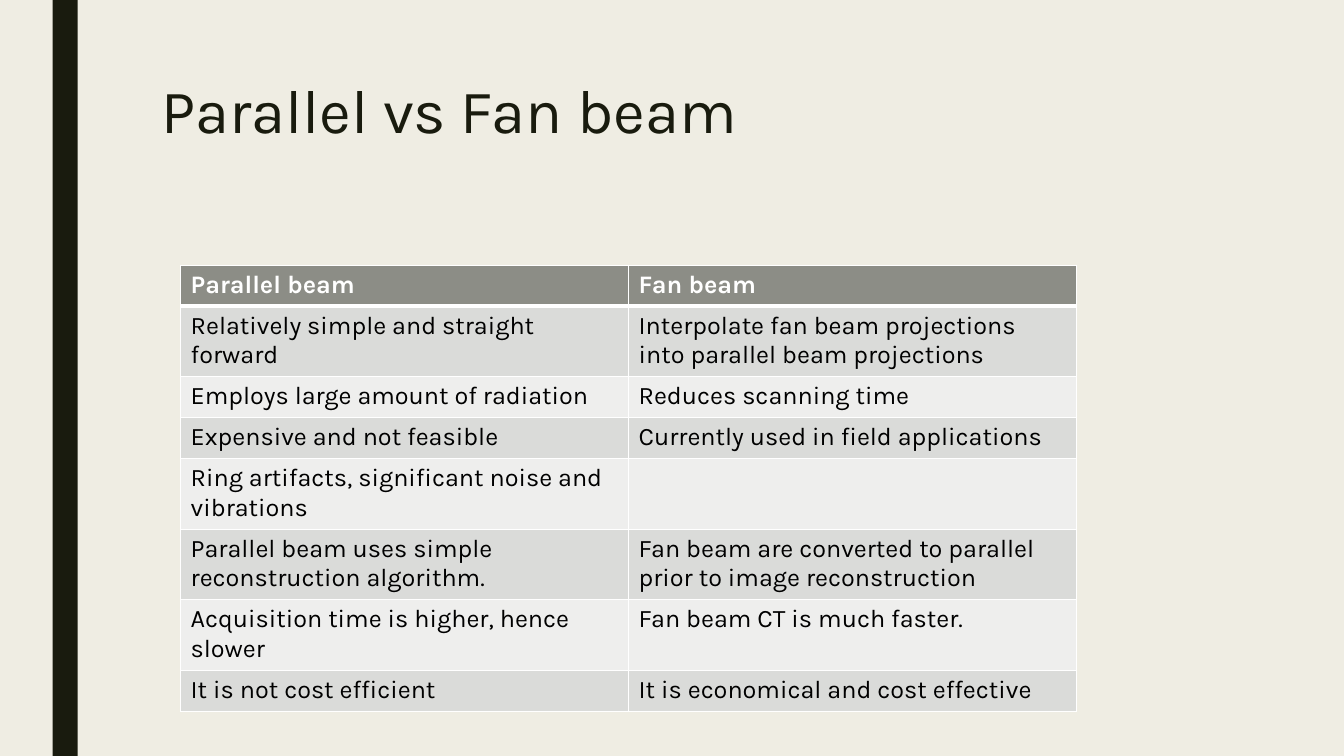
from dataclasses import dataclass

from lxml.etree import SubElement
from pptx import Presentation
from pptx.dml.color import RGBColor
from pptx.enum.shapes import MSO_SHAPE
from pptx.oxml.ns import qn
from pptx.util import Pt


@dataclass(frozen=True)
class Theme:
    """Colours, font and type sizes of the deck."""
    background: str = "EFEDE3"
    ink: str = "191B0E"
    header_fill: str = "8C8D86"
    bands: tuple = ("DADBD9", "EEEEED")
    border: str = "FFFFFF"
    header_text: str = "FFFFFF"
    body_text: str = "000000"
    font: str = "Karla"
    title_size: float = 44
    body_size: float = 18


THEME = Theme()
SLIDE_WIDTH, SLIDE_HEIGHT = 960, 540
BEAM_COMPARISON = [
    ("Parallel beam", "Fan beam"),
    ("Relatively simple and straight forward",
     "Interpolate fan beam projections into parallel beam projections"),
    ("Employs large amount of radiation", "Reduces scanning time"),
    ("Expensive and not feasible", "Currently used in field applications"),
    ("Ring artifacts, significant noise and vibrations", ""),
    ("Parallel beam uses simple reconstruction algorithm.",
     "Fan beam are converted to parallel prior to image reconstruction"),
    ("Acquisition time is higher, hence slower", "Fan beam CT is much faster."),
    ("It is not cost efficient", "It is economical and cost effective"),
]


def style_paragraph(paragraph, size, color, bold=False):
    """Set the font of a whole paragraph."""
    paragraph.font.name = THEME.font
    paragraph.font.size = Pt(size)
    paragraph.font.bold = bold
    paragraph.font.color.rgb = RGBColor.from_string(color)


def add_side_bar(slide, left, top, width, height):
    """Draw the dark vertical bar in the given box."""
    bar = slide.shapes.add_shape(
        MSO_SHAPE.RECTANGLE, Pt(left), Pt(top), Pt(width), Pt(height))
    bar.shadow.inherit = False
    bar.fill.solid()
    bar.fill.fore_color.rgb = RGBColor.from_string(THEME.ink)
    bar.line.fill.background()


def add_title(slide, title, left, top, width, height):
    """Write the slide title at the top of the given box."""
    frame = slide.shapes.add_textbox(
        Pt(left), Pt(top), Pt(width), Pt(height)).text_frame
    frame.word_wrap = True
    heading = frame.paragraphs[0]
    heading.text = title
    heading.line_spacing = 0.89
    style_paragraph(heading, THEME.title_size, THEME.ink)


def add_borders(cell, **widths):
    """Draw the cell's borders, one width in points per side."""
    properties = cell._tc.get_or_add_tcPr()
    for side, width in widths.items():
        line = SubElement(properties, qn(f"a:ln{side}"), w=str(Pt(width)))
        fill = SubElement(line, qn("a:solidFill"))
        SubElement(fill, qn("a:srgbClr"), val=THEME.border)


def add_comparison(slide, rows, left, top, width, height):
    """Fill the given box with a banded table under a header row."""
    table = slide.shapes.add_table(
        len(rows), len(rows[0]), Pt(left), Pt(top), Pt(width), Pt(height)).table
    for row_index, row in enumerate(rows):
        is_header = row_index == 0
        fill = THEME.header_fill if is_header else THEME.bands[(row_index - 1) % 2]
        color = THEME.header_text if is_header else THEME.body_text
        for column_index, wording in enumerate(row):
            cell = table.cell(row_index, column_index)
            cell.text = wording
            style_paragraph(cell.text_frame.paragraphs[0],
                            THEME.body_size, color, is_header)
            add_borders(cell, L=1, R=1, T=3 if row_index == 1 else 1,
                        B=3 if is_header else 1)
            cell.fill.solid()
            cell.fill.fore_color.rgb = RGBColor.from_string(fill)


def build_comparison_slide(deck):
    """Add the slide that compares the two beam types."""
    slide = deck.slides.add_slide(deck.slide_layouts[6])
    slide.background.fill.solid()
    slide.background.fill.fore_color.rgb = RGBColor.from_string(THEME.background)
    add_side_bar(slide, 37.5, 0, 18, SLIDE_HEIGHT)
    add_title(slide, "Parallel vs Fan beam", 108, 54, 756, 117)
    add_comparison(slide, BEAM_COMPARISON, 129, 189.5, 640, 233.6)


def main():
    """Build the deck and save it."""
    deck = Presentation()
    deck.slide_width, deck.slide_height = Pt(SLIDE_WIDTH), Pt(SLIDE_HEIGHT)
    build_comparison_slide(deck)
    deck.save("out.pptx")


if __name__ == "__main__":
    main()
